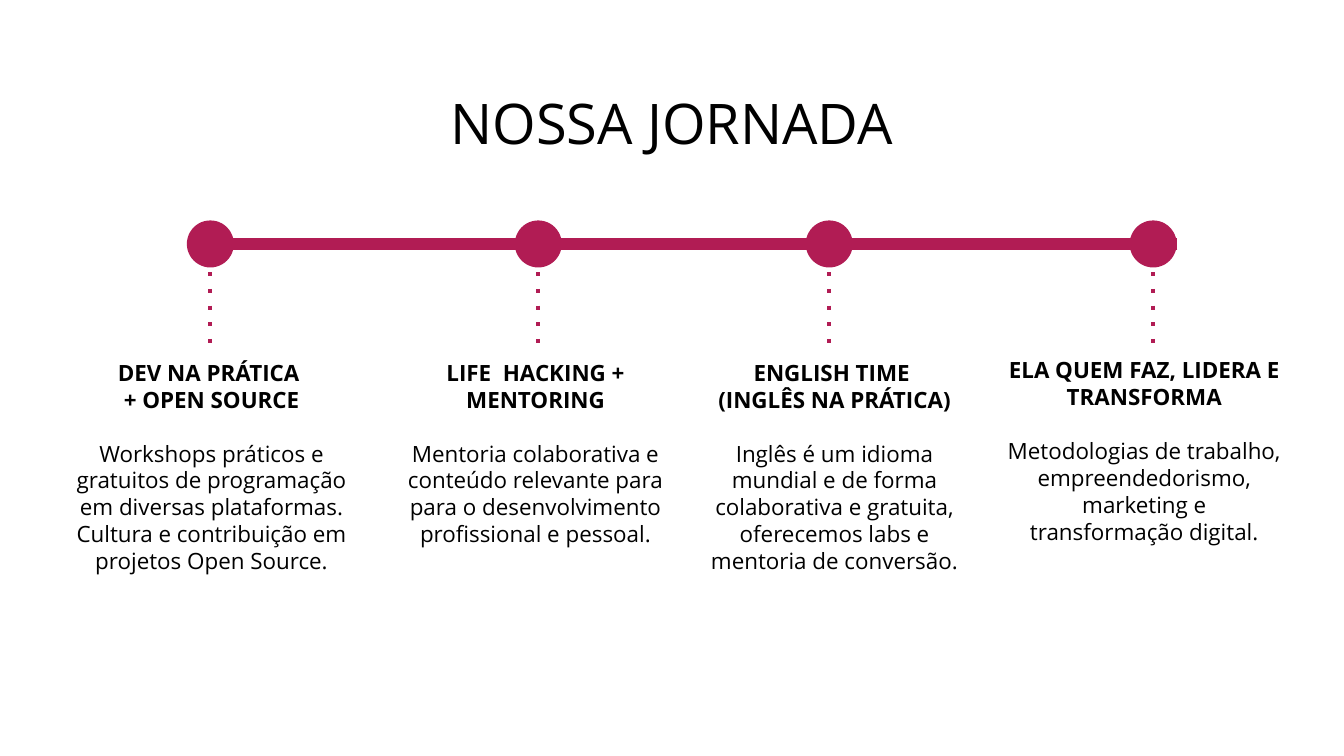
from lxml.etree import SubElement
from pptx import Presentation
from pptx.dml.color import RGBColor
from pptx.enum.shapes import MSO_CONNECTOR, MSO_SHAPE
from pptx.enum.text import MSO_ANCHOR, PP_ALIGN
from pptx.oxml.ns import qn
from pptx.util import Emu, Pt

PX = 4572
MAGENTA = RGBColor(0xB1, 0x1C, 0x54)
BLACK = RGBColor(0, 0, 0)
WHITE = RGBColor(255, 255, 255)
FONT = "Open Sans"
DOT = 70
INSET = 20

STAGES = [
    (278, (70, 514, 490, 510), ["DEV NA PRÁTICA ", "+ OPEN SOURCE"],
     "Workshops práticos e gratuitos de programação em diversas plataformas. "
     "Cultura e contribuição em projetos Open Source."),
    (766, (586, 514, 422, 510), ["LIFE  HACKING + MENTORING"],
     "Mentoria colaborativa e conteúdo relevante para para o desenvolvimento "
     "profissional e pessoal."),
    (1199, (1010, 514, 464, 406), ["ENGLISH TIME ", "(INGLÊS NA PRÁTICA)"],
     "Inglês é um idioma mundial e de forma colaborativa e gratuita, "
     "oferecemos labs e mentoria de conversão."),
    (1681, (1476, 510, 454, 190), ["ELA QUEM FAZ, LIDERA E TRANSFORMA"],
     "Metodologias de trabalho, empreendedorismo, marketing e transformação digital."),
]


def px(*lengths):
    """Turn px lengths into EMU."""
    return [Emu(length * PX) for length in lengths]


def add_text_frame(slide, box, anchor=MSO_ANCHOR.TOP):
    """Add a wrapping text box with even insets and return its frame."""
    frame = slide.shapes.add_textbox(*px(*box)).text_frame
    frame.word_wrap = True
    frame.vertical_anchor = anchor
    frame.margin_left, frame.margin_top, frame.margin_right, frame.margin_bottom = px(*[INSET] * 4)
    return frame


def write(paragraph, text, size, bold=False):
    """Write one centred run into a paragraph."""
    paragraph.alignment = PP_ALIGN.CENTER
    run = paragraph.add_run()
    run.text = text
    run.font.name = FONT
    run.font.size = Pt(size)
    run.font.bold = bold
    run.font.color.rgb = BLACK


def add_line(slide, start, end, width, dotted=False):
    """Draw a straight magenta line without a shadow."""
    line = slide.shapes.add_connector(MSO_CONNECTOR.STRAIGHT, *px(*start, *end))
    line.line.color.rgb = MAGENTA
    line.line.width = Pt(width)
    properties = line._element.spPr
    if dotted:
        SubElement(properties.find(qn("a:ln")), qn("a:prstDash"), val="dot")
    SubElement(properties, qn("a:effectLst"))


def add_title(slide, box):
    """Place the slide title in the middle of its box."""
    frame = add_text_frame(slide, box, MSO_ANCHOR.MIDDLE)
    write(frame.paragraphs[0], "NOSSA JORNADA", 30)


def add_milestone(slide, left, top):
    """Place a timeline dot with its dotted stem."""
    center = left + DOT // 2
    add_line(slide, (center, top + 52), (center, top + 186), 2.25, dotted=True)
    dot = slide.shapes.add_shape(MSO_SHAPE.OVAL, *px(left, top, DOT, DOT))
    dot.shadow.inherit = False
    dot.fill.solid()
    dot.fill.fore_color.rgb = MAGENTA
    dot.line.fill.background()


def add_stage_text(slide, box, heading, description):
    """Write a stage's bold heading and its description."""
    frame = add_text_frame(slide, box)
    for index, text in enumerate([*heading, description]):
        paragraph = frame.add_paragraph() if index else frame.paragraphs[0]
        is_heading = index < len(heading)
        write(paragraph, text, 12, bold=is_heading)
        if not is_heading:
            paragraph.space_before = Pt(14.5)


def add_timeline(slide, left, top, right):
    """Place the timeline bar, its milestones and the stage texts."""
    middle = top + DOT // 2
    add_line(slide, (right, middle), (left, middle), 6)
    for dot_left, box, heading, description in STAGES:
        add_milestone(slide, dot_left, top)
        add_stage_text(slide, box, heading, description)


def main():
    """Build and save the slide."""
    presentation = Presentation()
    presentation.slide_width, presentation.slide_height = px(2000, 1125)
    slide = presentation.slides.add_slide(presentation.slide_layouts[6])
    slide.background.fill.solid()
    slide.background.fill.fore_color.rgb = WHITE
    add_timeline(slide, 336, 328, 1752)
    add_title(slide, (0, 82, 2000, 198))
    presentation.save("out.pptx")


if __name__ == "__main__":
    main()
